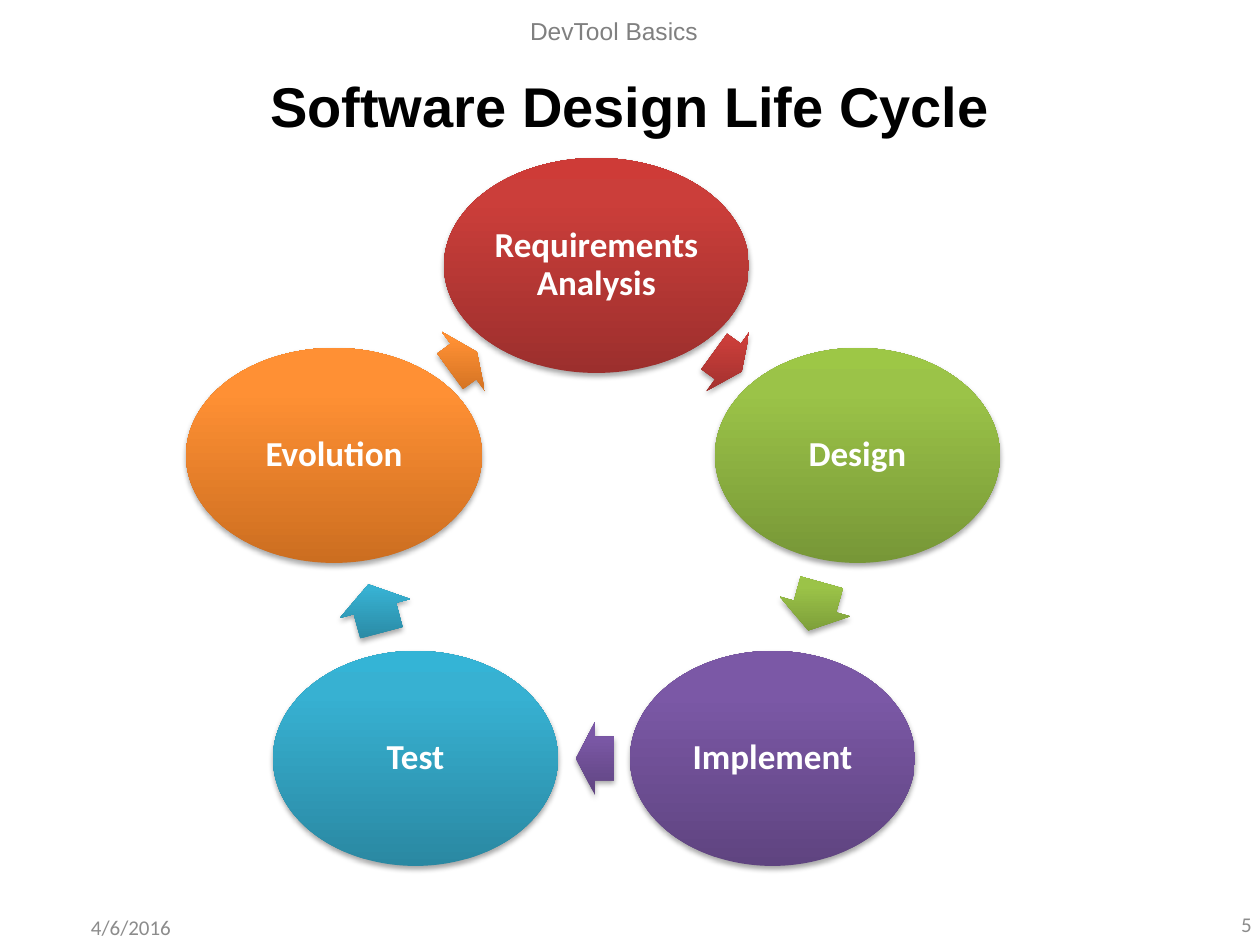
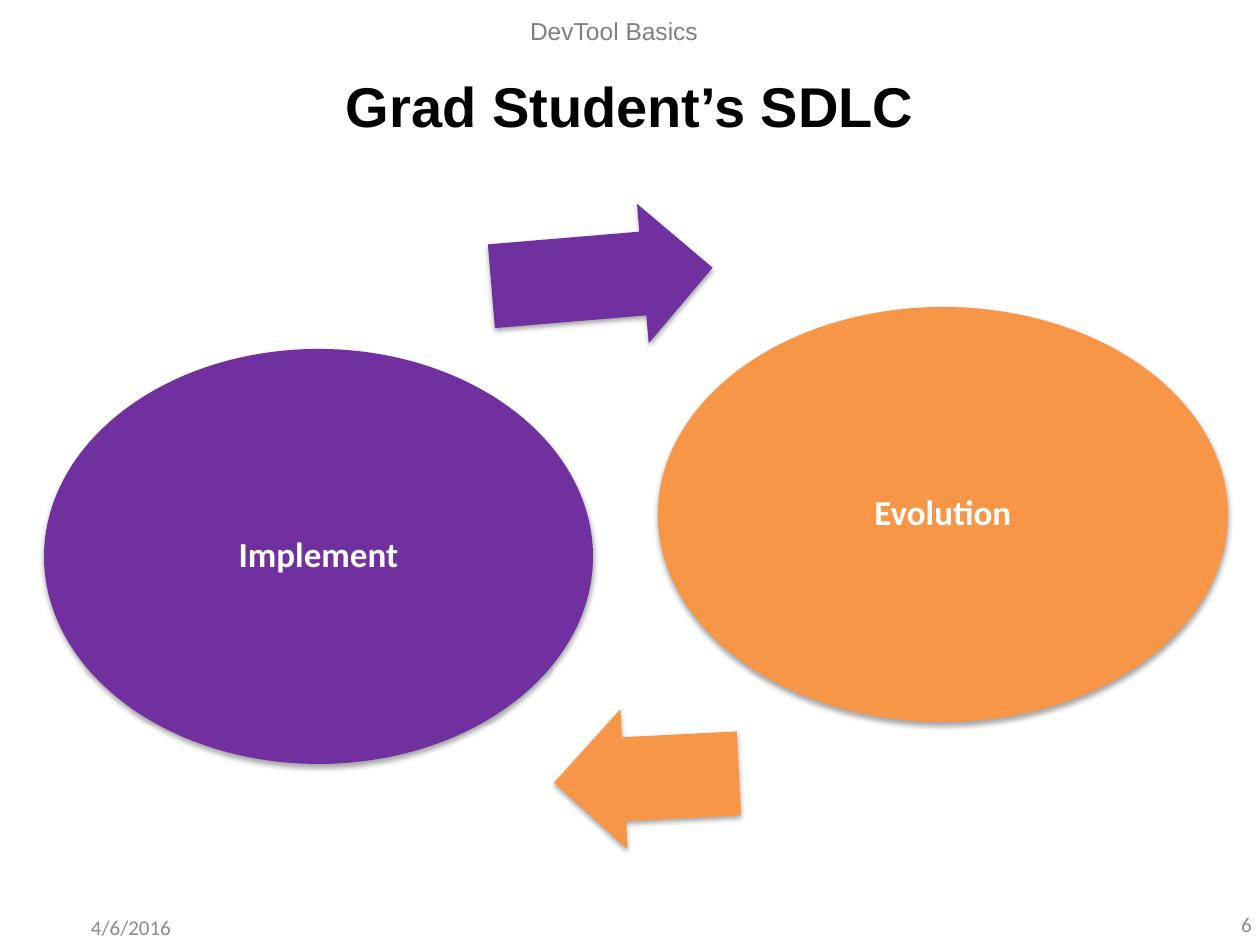
import copy

import lxml.etree
import pptx
import pptx.dml.color
import pptx.enum.shapes
import pptx.enum.text
import pptx.oxml.ns
import pptx.util

SCALE = 914400 / 126
ALIGN = pptx.enum.text.PP_ALIGN
SHAPE = pptx.enum.shapes.MSO_SHAPE
qn = pptx.oxml.ns.qn

GREY = "8C8C8C"
RED = ["9C2F2D", "CB3E3A", "CE3B37"]
GREEN = ["779737", "9BC348", "9DC746"]
PURPLE = ["5F4480", "7B58A6", "7C57A8"]
BLUE = ["2A88A2", "37B1D2", "34B4D6"]
ORANGE = ["CC6E20", "FF9034", "FF9136"]
STOPS = [0, 0.8, 1]

SLIDES = [
    ("Software Design Life Cycle", "5", 215, 73, [
        ("Requirements Analysis", RED, (444, 158, 305), (711, 325, 34, 36)),
        ("Design", GREEN, (715, 348, 285), (790, 570, 50, 105.6)),
        ("Implement", PURPLE, (630, 651, 285), (576, 722, 38, 180)),
        ("Test", BLUE, (273, 651, 285), (350, 572, 50, 254.9)),
        ("Evolution", ORANGE, (186, 348, 296), (447, 325, 33, 324)),
    ]),
    ("Grad Student’s SDLC", "6", 415, 140, [
        ("Implement", ["7030A0"], (44, 349, 549), (491, 207, 222, 355.2)),
        ("Evolution", ["F79646"], (658, 307, 570), (554, 708, 185, 177.1)),
    ]),
]


def px(*lengths):
    return [round(length * SCALE) for length in lengths]


def write(box, text, size, font, colour, bold=False, align=ALIGN.CENTER):
    frame = box.text_frame
    frame.word_wrap = True
    frame.vertical_anchor = pptx.enum.text.MSO_ANCHOR.MIDDLE
    para = frame.paragraphs[0]
    para.alignment = align
    span = para.add_run()
    span.text = text
    span.font.size = pptx.util.Pt(size)
    span.font.name = font
    span.font.bold = bold
    span.font.color.rgb = pptx.dml.color.RGBColor.from_string(colour)


deck = pptx.Presentation()
deck.slide_width, deck.slide_height = px(1260, 945)

for title, number, stage_height, arrow_height, stages in SLIDES:
    page = deck.slides.add_slide(deck.slide_layouts[6])
    for area, text, size, font, colour, bold, align in [
        ((63, 63, 1134, 84), title, 32, "Arial", "000000", True, ALIGN.CENTER),
        ((63, 902, 136, 50), "4/6/2016", 12, "Calibri", GREY, False, ALIGN.CENTER),
        ((378, 6, 472, 50), "DevTool Basics", 14, "Arial", "808080", False, ALIGN.CENTER),
        ((970, 898, 294, 53), number, 12, "Calibri", GREY, False, ALIGN.RIGHT),
    ]:
        write(page.shapes.add_textbox(*px(*area)), text, size, font, colour, bold, align)

    for name, colours, stage_area, (left, top, width, angle) in stages:
        stage = page.shapes.add_shape(SHAPE.OVAL, *px(*stage_area, stage_height))
        write(stage, name, 20, "Calibri", "FFFFFF", True)
        frame = stage.text_frame
        frame.paragraphs[0].line_spacing = 0.9
        frame.margin_left = frame.margin_right = px(4)[0]
        frame.margin_top = frame.margin_bottom = px(4)[0]

        arrow = page.shapes.add_shape(SHAPE.RIGHT_ARROW, *px(left, top, width, arrow_height))
        arrow.rotation = angle
        arrow.adjustments[0] = 0.6
        arrow.adjustments[1] = 0.5

        for shape in (stage, arrow):
            shape.line.fill.background()
            properties = shape._element.spPr
            if len(colours) == 1:
                shape.fill.solid()
                shape.fill.fore_color.rgb = pptx.dml.color.RGBColor.from_string(colours[0])
            else:
                shape.fill.gradient()
                shape.fill.gradient_angle = 90
                gradient = properties.find(qn("a:gradFill"))
                gradient.set("rotWithShape", "0")
                stop_list = gradient.find(qn("a:gsLst"))
                stop_list.append(copy.deepcopy(stop_list[-1]))
                for stop, position, colour in zip(shape.fill.gradient_stops, STOPS, colours):
                    stop.position = position
                    stop.color.rgb = pptx.dml.color.RGBColor.from_string(colour)
            shape.shadow.inherit = False
            effects = properties.find(qn("a:effectLst"))
            shadow = lxml.etree.SubElement(
                effects, qn("a:outerShdw"), blurRad="40000", dist="23000",
                dir="5400000", rotWithShape="0")
            tint = lxml.etree.SubElement(shadow, qn("a:srgbClr"), val="000000")
            lxml.etree.SubElement(tint, qn("a:alpha"), val="35000")

deck.save("out.pptx")
